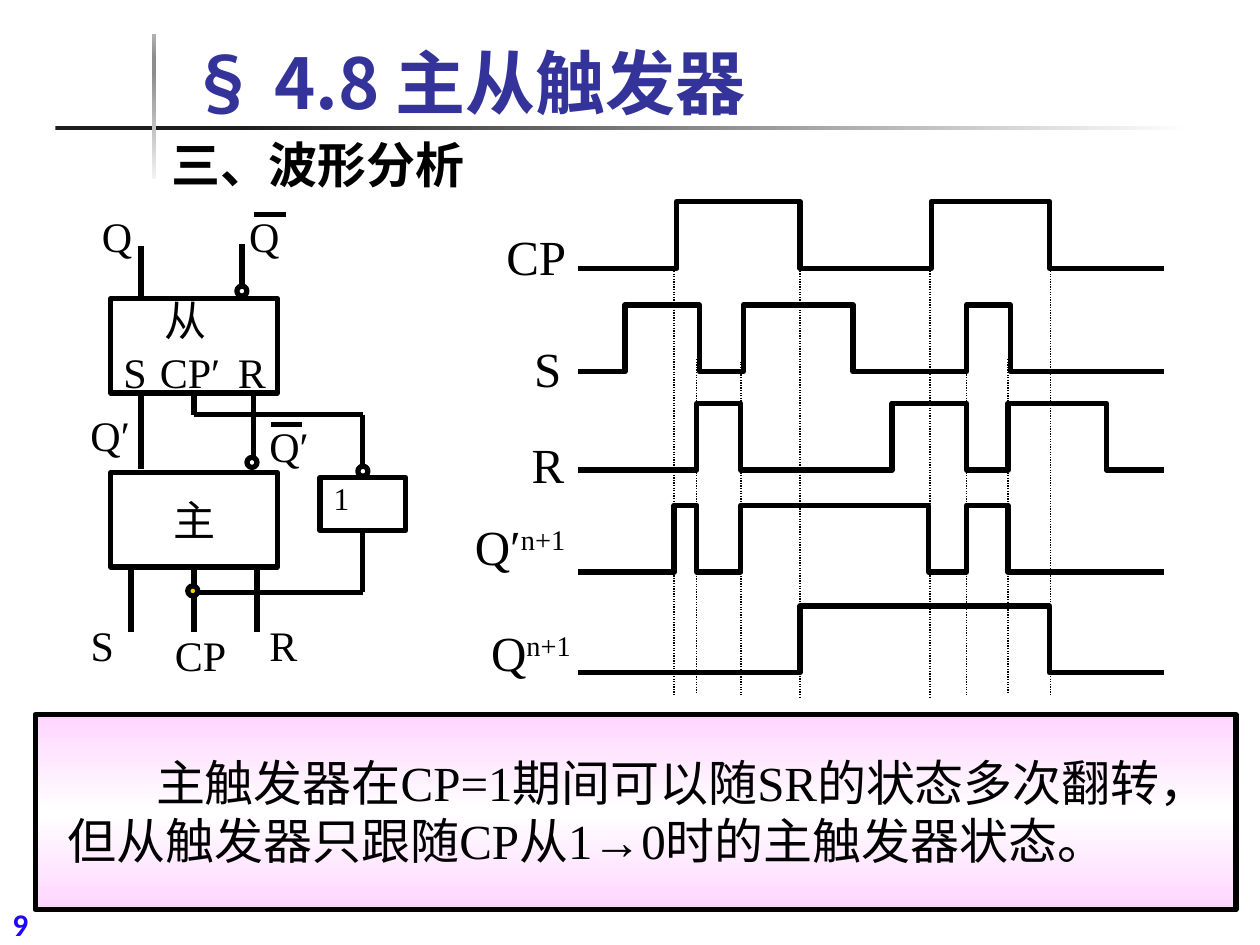
import itertools

import lxml.etree
import pptx
import pptx.dml.color
import pptx.enum.dml
import pptx.enum.shapes
import pptx.enum.text
import pptx.oxml.ns
import pptx.util

PX = 9144
SERIF = "Times New Roman"
HAN = "Noto Sans CJK SC"
SHAPES = pptx.enum.shapes.MSO_SHAPE
ANCHORS = pptx.enum.text.MSO_ANCHOR
qn = pptx.oxml.ns.qn


def color(value):
    return pptx.dml.color.RGBColor.from_string(value)


class SlideBuilder:
    """Draws styled elements on the current slide, with lengths in px."""

    def __init__(self, slide, ink="000000", stroke=3):
        self.slide = slide
        self.shapes = slide.shapes
        self.ink = ink
        self.stroke = stroke

    def outline(self, line, width=None):
        line.color.rgb = color(self.ink)
        line.width = pptx.util.Pt(width or self.stroke)

    def shape(self, left, top, width, height, kind=SHAPES.RECTANGLE, fill=None):
        shape = self.shapes.add_shape(kind, *(n * PX for n in (left, top, width, height)))
        shape.shadow.inherit = False
        if fill:
            shape.fill.solid()
            shape.fill.fore_color.rgb = color(fill)
        else:
            shape.fill.background()
        self.outline(shape.line)
        return shape

    def circle(self, left, top, fill=None):
        return self.shape(left, top, 8, 8, SHAPES.OVAL, fill)

    def gradient(self, left, top, width, height, stops, angle, outlined=False):
        shape = self.shape(left, top, width, height)
        properties = shape._element.spPr
        gradient = lxml.etree.Element(qn("a:gradFill"), rotWithShape="1")
        stop_list = lxml.etree.SubElement(gradient, qn("a:gsLst"))
        for position, value in stops:
            stop = lxml.etree.SubElement(stop_list, qn("a:gs"), pos=str(position * 1000))
            lxml.etree.SubElement(stop, qn("a:srgbClr"), val=value)
        lxml.etree.SubElement(gradient, qn("a:lin"), ang=str(angle * 60000), scaled="1")
        properties.replace(properties.find(qn("a:noFill")), gradient)
        if not outlined:
            shape.line.fill.background()
        return shape

    def line(self, x1, y1, x2, y2, start=None, end=None, dotted=False):
        line = self.shapes.add_connector(
            pptx.enum.shapes.MSO_CONNECTOR.STRAIGHT, *(n * PX for n in (x1, y1, x2, y2)))
        lxml.etree.SubElement(line._element.spPr, qn("a:effectLst"))
        self.outline(line.line, 0.75 if dotted else None)
        if dotted:
            line.line.dash_style = pptx.enum.dml.MSO_LINE.ROUND_DOT
        if start:
            line.begin_connect(*start)
        if end:
            line.end_connect(*end)
        return line

    def wave(self, top, edges, left=459, right=924, height=53):
        levels = itertools.cycle((top + height, top))
        points = []
        for begin, end in itertools.pairwise([left, *edges, right]):
            level = next(levels)
            points += [(begin, level), (end, level)]
        builder = self.shapes.build_freeform(*points[0], scale=PX)
        builder.add_line_segments(points[1:], close=False)
        shape = builder.convert_to_shape()
        shape.shadow.inherit = False
        shape.fill.background()
        self.outline(shape.line)

    def run(self, paragraph, text, size, font=SERIF, ink=None, bold=False, raised=False):
        run = paragraph.add_run()
        run.text = text
        run.font.size = pptx.util.Pt(size)
        run.font.name = font
        run.font.bold = bold
        run.font.color.rgb = color(ink or self.ink)
        properties = run._r.get_or_add_rPr()
        lxml.etree.SubElement(properties, qn("a:ea"), typeface=HAN)
        if raised:
            properties.set("baseline", "30000")

    def text(self, left, top, width, height, text, size=24, raised=None, indent=0,
             anchor=ANCHORS.TOP, **style):
        box = self.shapes.add_textbox(*(n * PX for n in (left, top, width, height)))
        frame = box.text_frame
        frame.word_wrap = True
        frame.vertical_anchor = anchor
        if anchor == ANCHORS.BOTTOM:
            frame.margin_bottom = 0
        paragraph = frame.paragraphs[0]
        if indent:
            paragraph._p.get_or_add_pPr().set("indent", str(indent * PX))
        self.run(paragraph, text, size, **style)
        if raised:
            self.run(paragraph, raised, size, raised=True, **style)

    def centered(self, shape, text, size=24):
        frame = shape.text_frame
        frame.vertical_anchor = ANCHORS.MIDDLE
        paragraph = frame.paragraphs[0]
        paragraph.alignment = pptx.enum.text.PP_ALIGN.CENTER
        self.run(paragraph, text, size)


def draw_frame(builder):
    builder.gradient(44, 100, 900, 3, [(16, "1C1C1C"), (100, "FFFFFF")], 0)
    builder.gradient(121, 27, 3, 115, [
        (0, "F2F2F2"), (74, "8C8C8C"), (83, "8C8C8C"), (100, "B2B2B2")], 270)
    builder.text(0, 713, 99, 37, "9", 18, font="Calibri", ink="1F08F8", bold=True)
    builder.text(140, 34, 761, 64, "§ 4.8 主从触发器", 40, anchor=ANCHORS.BOTTOM,
                 font=HAN, ink="333399", bold=True)
    builder.text(126, 102, 255, 57, "三、波形分析", 28, font=HAN, bold=True)


def draw_waveforms(builder):
    for x, top, bottom in [
            (535, 213, 552), (635, 215, 554), (738, 215, 554), (834, 213, 552),
            (553, 285, 550), (588, 287, 552), (767, 287, 552), (800, 285, 550)]:
        builder.line(x, top, x, bottom, dotted=True)
    for top, edges in [
            (160, [537, 635, 739, 833]),
            (242, [496, 555, 590, 677, 767, 802]),
            (320, [553, 588, 708, 767, 800, 878]),
            (401, [535, 553, 588, 737, 767, 800]),
            (481, [635, 833])]:
        builder.wave(top, edges)
    for left, top, width, label, raised in [
            (392, 175, 80, "CP", None), (414, 264, 51, "S", None), (412, 340, 51, "R", None),
            (367, 405, 141, "Q′", "n+1"), (380, 489, 104, "Q", "n+1")]:
        builder.text(left, top, width, 57, label, 28, raised)


def draw_circuit(builder):
    slave = builder.shape(88, 237, 132, 75)
    master = builder.shape(88, 375, 132, 75)
    inverter = builder.shape(254, 379, 68, 42)
    builder.centered(master, "主")
    for ends in [
            (112, 195, 112, 237), (192, 194, 192, 227), (112, 314, 112, 372),
            (201, 312, 201, 362), (104, 452, 104, 502), (204, 452, 204, 502),
            (154, 329, 288, 329), (288, 329, 288, 370), (288, 470, 154, 470),
            (202, 170, 227, 170), (215, 337, 240, 337)]:
        builder.line(*ends)
    builder.line(154, 312, 154, 329, start=(slave, 2))
    builder.line(154, 450, 154, 502, start=(master, 2))
    builder.line(288, 421, 288, 470, start=(inverter, 2))
    for left, top in [(188, 227), (196, 363), (284, 370)]:
        builder.circle(left, top)
    builder.circle(149, 465, "FFCF01")
    for left, top, width, label in [
            (71, 162, 46, "Q"), (188, 162, 46, "Q"), (121, 229, 54, "从"),
            (88, 270, 39, "S"), (117, 270, 80, "CP′"), (179, 270, 44, "R"),
            (62, 320, 54, "Q′"), (204, 329, 54, "Q′"),
            (62, 487, 39, "S"), (129, 495, 64, "CP"), (204, 487, 44, "R")]:
        builder.text(left, top, width, 50, label)
    builder.text(255, 375, 40, 40, "1", 18)


def draw_conclusion(builder):
    builder.gradient(28, 567, 953, 155, [(0, "FFD5FF"), (50, "FFFFFF"), (100, "FFD5FF")],
                     90, outlined=True)
    builder.text(44, 592, 928, 103, "主触发器在CP=1期间可以随SR的状态多次翻转，"
                 "但从触发器只跟随CP从1→0时的主触发器状态。", 28, indent=70)


def main():
    presentation = pptx.Presentation()
    presentation.slide_width = 1000 * PX
    presentation.slide_height = 750 * PX
    builder = SlideBuilder(presentation.slides.add_slide(presentation.slide_layouts[6]))
    draw_frame(builder)
    draw_waveforms(builder)
    draw_conclusion(builder)
    draw_circuit(builder)
    presentation.save("out.pptx")


if __name__ == "__main__":
    main()
